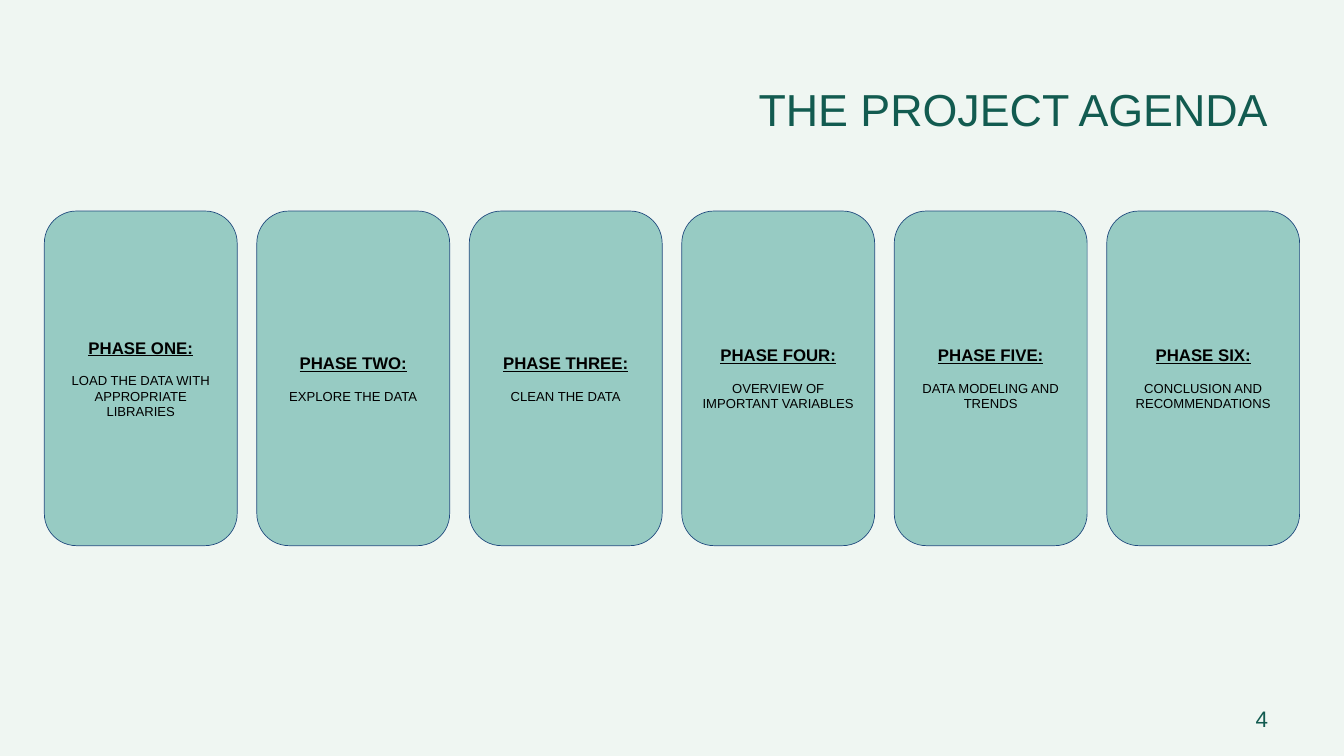
from pptx import Presentation
from pptx.dml.color import RGBColor
from pptx.enum.shapes import MSO_SHAPE as SHAPE
from pptx.enum.text import MSO_ANCHOR as ANCHOR, MSO_AUTO_SIZE as AUTO, PP_ALIGN as ALIGN
from pptx.util import Inches, Pt

W, H = 20, 11.25
FONT = "Arial"
COLORS = {"back": "EFF6F2", "heading": "125B50", "card": "97CBC3",
          "border": "1F497D", "text": "000000"}
PHASES = [
    ("PHASE ONE:", "LOAD THE DATA WITH APPROPRIATE LIBRARIES"),
    ("PHASE TWO:", "EXPLORE THE DATA"),
    ("PHASE THREE:", "CLEAN THE DATA"),
    ("PHASE FOUR:", "OVERVIEW OF IMPORTANT VARIABLES"),
    ("PHASE FIVE:", "DATA MODELING AND TRENDS"),
    ("PHASE SIX:", "CONCLUSION AND RECOMMENDATIONS"),
]


def rgb(name):
    return RGBColor.from_string(COLORS[name])


def set_margins(tf, size):
    tf.margin_left = tf.margin_right = tf.margin_top = tf.margin_bottom = Inches(size)


def add_run(p, text, size, color, bold=False, underline=False):
    r = p.add_run()
    r.text = text
    r.font.name, r.font.size = FONT, Pt(size)
    r.font.bold, r.font.underline = bold, underline
    r.font.color.rgb = rgb(color)


def format_heading(sp, box, text, size):
    sp.left, sp.top, sp.width, sp.height = map(Inches, box)
    tf = sp.text_frame
    tf.word_wrap, tf.auto_size = True, AUTO.SHAPE_TO_FIT_TEXT
    tf.vertical_anchor = ANCHOR.TOP
    set_margins(tf, 0)
    p = tf.paragraphs[0]
    p.alignment, p.line_spacing = ALIGN.RIGHT, 1.4
    add_run(p, text, size, "heading")


def add_card(s, box, name, task):
    sp = s.shapes.add_shape(SHAPE.FLOWCHART_ALTERNATE_PROCESS, *map(Inches, box))
    sp.shadow.inherit = False
    sp.fill.solid()
    sp.fill.fore_color.rgb = rgb("card")
    sp.line.color.rgb = rgb("border")
    sp.line.width = Pt(0.75)
    tf = sp.text_frame
    tf.word_wrap, tf.vertical_anchor = True, ANCHOR.MIDDLE
    set_margins(tf, 0.1)
    p = tf.paragraphs[0]
    p.alignment, p.space_after = ALIGN.CENTER, Pt(16)
    add_run(p, name, 18, "text", bold=True, underline=True)
    p = tf.add_paragraph()
    p.alignment = ALIGN.CENTER
    add_run(p, task, 14, "text")


def add_agenda(s, box, phases, card_width):
    left, top, width, height = box
    pitch = (width - card_width) / (len(phases) - 1)
    for i, (name, task) in enumerate(phases):
        add_card(s, (left + i * pitch, top, card_width, height), name, task)


def main():
    prs = Presentation()
    prs.slide_width, prs.slide_height = Inches(W), Inches(H)
    s = prs.slides.add_slide(prs.slide_layouts[5])
    s.background.fill.solid()
    s.background.fill.fore_color.rgb = rgb("back")

    right, margin = 18.87, 0.66
    number = s.shapes.add_textbox(0, 0, 0, 0)
    format_heading(number, (right - 3.46, 10.33, 3.46, 0.4), "4", 24)
    format_heading(s.shapes.title, (right - 7.84, 0.89, 7.84, 0.81),
                   "THE PROJECT AGENDA", 48)
    add_agenda(s, (margin, 3.14, W - 2 * margin, 4.98), PHASES, 2.87)
    prs.save("out.pptx")


if __name__ == "__main__":
    main()
